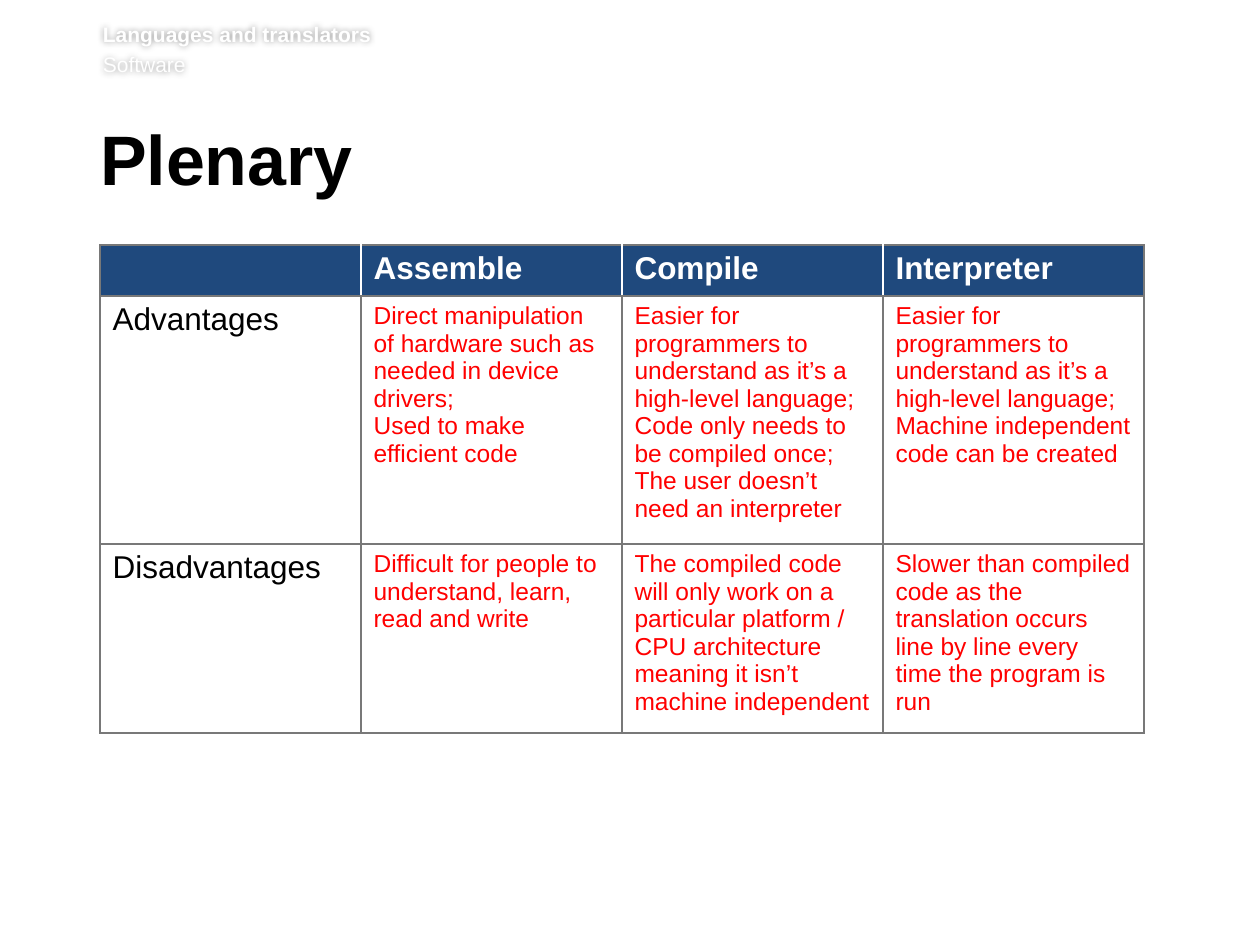
from dataclasses import dataclass

from lxml.etree import SubElement
from pptx import Presentation
from pptx.dml.color import RGBColor
from pptx.enum.text import MSO_ANCHOR as Anchor, MSO_AUTO_SIZE as AutoSize, PP_ALIGN as Align
from pptx.oxml import parse_xml
from pptx.oxml.ns import nsdecls, qn
from pptx.util import Emu, Pt

EMU_PER_PX = 914400 / 126
FONT = "Arial"
COLORS = {
    "white": "FFFFFF",
    "black": "000000",
    "answer": "FF0000",
    "header": "1F497D",
    "rule": "787878",
}


@dataclass(frozen=True)
class TextStyle:
    size: int
    color: str
    bold: bool = False


@dataclass(frozen=True)
class Box:
    left: int
    top: int
    width: int
    height: int


@dataclass(frozen=True)
class Comparison:
    label: str
    height: int
    answers: tuple[str, ...]


HEADING = TextStyle(18, "white", True)
LABEL = TextStyle(18, "black")
ANSWER = TextStyle(14, "answer")
TITLE = TextStyle(40, "black", True)
UNIT = TextStyle(12, "white", True)
TOPIC = TextStyle(12, "white")

TRANSLATORS = ("", "Assemble", "Compile", "Interpreter")
HEADER_HEIGHT = 51
COLUMN_WIDTH = 261
COMPARISONS = (
    Comparison("Advantages", 233, (
        "Direct manipulation of hardware such as needed in device drivers;\n"
        "Used to make efficient code",
        "Easier for programmers to understand as it’s a high-level language;\n"
        "Code only needs to be compiled once;\n"
        "The user doesn’t need an interpreter",
        "Easier for programmers to understand as it’s a high-level language;\n"
        "Machine independent code can be created",
    )),
    Comparison("Disadvantages", 178, (
        "Difficult for people to understand, learn, read and write",
        "The compiled code will only work on a particular platform / "
        "CPU architecture meaning it isn’t machine independent",
        "Slower than compiled code as the translation occurs line by line "
        "every time the program is run",
    )),
)


def px(length: int) -> Emu:
    return Emu(round(length * EMU_PER_PX))


def style_paragraph(paragraph, style: TextStyle) -> None:
    for run in paragraph.runs:
        run.font.name = FONT
        run.font.size = Pt(style.size)
        run.font.bold = style.bold
        run.font.color.rgb = RGBColor.from_string(COLORS[style.color])


def place(shape, box: Box) -> None:
    shape.left, shape.top = px(box.left), px(box.top)
    shape.width, shape.height = px(box.width), px(box.height)


def add_soft_shadow(shape) -> None:
    effects = SubElement(shape.element.spPr, qn("a:effectLst"))
    shadow = SubElement(effects, qn("a:outerShdw"), blurRad="50800", dist="0", dir="0")
    tint = SubElement(shadow, qn("a:srgbClr"), val=COLORS["black"])
    SubElement(tint, qn("a:alpha"), val="40000")


def add_unit_header(slide, box: Box) -> None:
    unit_header = slide.shapes.add_textbox(0, 0, 0, 0)
    place(unit_header, box)
    frame = unit_header.text_frame
    frame.word_wrap = True
    frame.vertical_anchor = Anchor.MIDDLE
    frame.margin_left = frame.margin_top = frame.margin_right = 0
    frame.margin_bottom = px(6)
    frame.text = "Languages and translators\nSoftware"
    for paragraph, style in zip(frame.paragraphs, (UNIT, TOPIC)):
        paragraph.space_before = Pt(2.9)
        style_paragraph(paragraph, style)
    add_soft_shadow(unit_header)


def set_title(slide, text: str, box: Box) -> None:
    title = slide.shapes.title
    place(title, box)
    frame = title.text_frame
    frame.text = text
    frame.auto_size = AutoSize.NONE
    frame.vertical_anchor = Anchor.TOP
    frame.margin_left = 0
    paragraph = frame.paragraphs[0]
    paragraph.alignment = Align.LEFT
    paragraph.line_spacing = Pt(39)
    paragraph.space_after = Pt(15)
    style_paragraph(paragraph, TITLE)


def set_borders(cell, colors: dict[str, str]) -> None:
    properties = cell._tc.get_or_add_tcPr()
    for position, side in enumerate("LRTB"):
        border = parse_xml(
            f'<a:ln{side} {nsdecls("a")} w="12700"><a:solidFill>'
            f'<a:srgbClr val="{COLORS[colors[side]]}"/></a:solidFill></a:ln{side}>'
        )
        properties.insert(position, border)


def fill_cell(cell, text: str, style: TextStyle) -> None:
    cell.text = text
    for paragraph in cell.text_frame.paragraphs:
        style_paragraph(paragraph, style)


def add_comparison_table(slide, left: int, top: int) -> None:
    heights = [HEADER_HEIGHT, *(item.height for item in COMPARISONS)]
    last = len(TRANSLATORS) - 1
    table = slide.shapes.add_table(
        len(heights), len(TRANSLATORS), px(left), px(top),
        px(COLUMN_WIDTH * len(TRANSLATORS)), px(sum(heights)),
    ).table
    table.horz_banding = False
    for column in table.columns:
        column.width = px(COLUMN_WIDTH)
    for row, height in zip(table.rows, heights):
        row.height = px(height)

    for index, translator in enumerate(TRANSLATORS):
        cell = table.cell(0, index)
        fill_cell(cell, translator, HEADING)
        cell.fill.solid()
        cell.fill.fore_color.rgb = RGBColor.from_string(COLORS["header"])
        set_borders(cell, {
            "L": "white" if index > 0 else "rule",
            "R": "white" if index < last else "rule",
            "T": "rule",
            "B": "rule",
        })
    for row_index, item in enumerate(COMPARISONS, start=1):
        for index, text in enumerate((item.label, *item.answers)):
            cell = table.cell(row_index, index)
            fill_cell(cell, text, ANSWER if index else LABEL)
            cell.fill.background()
            set_borders(cell, dict.fromkeys("LRTB", "rule"))


def main() -> None:
    deck = Presentation()
    deck.slide_width, deck.slide_height = px(1260), px(945)
    slide = deck.slides.add_slide(deck.slide_layouts[5])
    add_unit_header(slide, Box(103, 21, 1111, 62))
    set_title(slide, "Plenary", Box(100, 125, 1077, 92))
    add_comparison_table(slide, 100, 245)
    deck.save("out.pptx")


if __name__ == "__main__":
    main()
